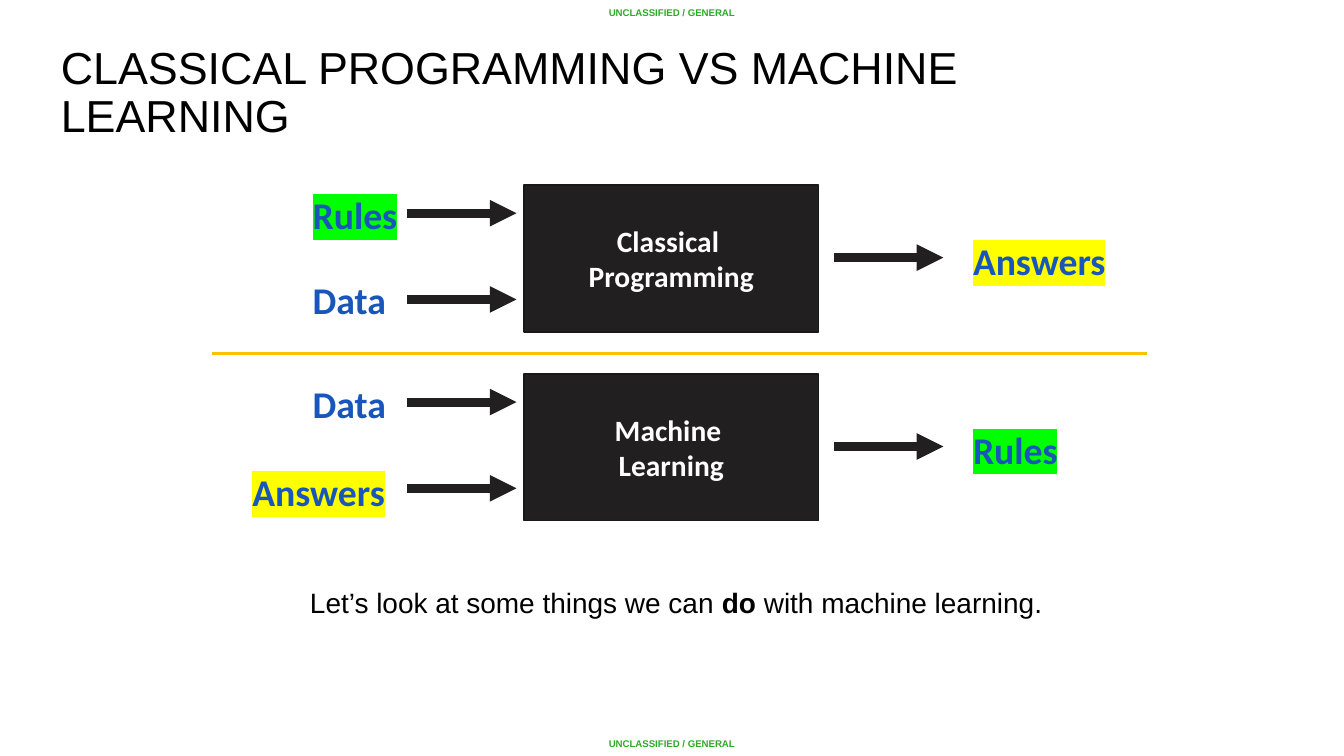
from lxml import etree
from pptx import Presentation
from pptx.dml.color import RGBColor
from pptx.enum.shapes import MSO_CONNECTOR, MSO_SHAPE
from pptx.enum.text import MSO_ANCHOR, MSO_AUTO_SIZE, PP_ALIGN
from pptx.oxml.ns import qn
from pptx.util import Cm, Pt

STRAIGHT = MSO_CONNECTOR.STRAIGHT
RECTANGLE = MSO_SHAPE.RECTANGLE
TOP, MIDDLE, BOTTOM = MSO_ANCHOR.TOP, MSO_ANCHOR.MIDDLE, MSO_ANCHOR.BOTTOM
NO_FIT = MSO_AUTO_SIZE.NONE
LEFT, CENTER = PP_ALIGN.LEFT, PP_ALIGN.CENTER

INK, EDGE, BLUE = "221F20", "191718", "1956BB"
GREEN, YELLOW, MARKING, GOLD = "00FF00", "FFFF00", "2DAA27", "FFC000"
TERMS = {"Rules": (2.13, GREEN), "Data": (1.93, None), "Answers": (3.07, YELLOW)}


def color(value):
    return RGBColor.from_string(value)


class Diagram:
    heading_font = "Arial"
    label_font = "Calibri"

    def __init__(self, slide):
        self.slide = slide

    def style(self, paragraph, size, font, fill, bold=None, align=LEFT):
        paragraph.alignment = align
        paragraph.font.size = Pt(size)
        paragraph.font.name = font
        paragraph.font.bold = bold
        paragraph.font.color.rgb = color(fill)

    def title(self, text, left, top, width, height):
        title = self.slide.shapes.title
        title.left, title.top = Cm(left), Cm(top)
        title.width, title.height = Cm(width), Cm(height)
        frame = title.text_frame
        frame.text = text
        frame.auto_size = NO_FIT
        frame.vertical_anchor = TOP
        frame.margin_left = frame.margin_right = 0
        frame.margin_top = frame.margin_bottom = 0
        heading = frame.paragraphs[0]
        heading.line_spacing = 0.9
        self.style(heading, 24, self.heading_font, "000000")

    def text(self, left, top, width, height, wrap=True, anchor=TOP):
        box = self.slide.shapes.add_textbox(Cm(left), Cm(top), Cm(width), Cm(height))
        box.text_frame.word_wrap = wrap
        box.text_frame.vertical_anchor = anchor
        return box.text_frame.paragraphs[0]

    def marking(self, top, anchor):
        paragraph = self.text(2.9, top, 19.6, 0.48, anchor=anchor)
        paragraph.text = "UNCLASSIFIED / GENERAL"
        self.style(paragraph, 5.2, self.heading_font, MARKING, True, CENTER)

    def term(self, name, left, top):
        width, highlight = TERMS[name]
        paragraph = self.text(left, top, width, 1.12, wrap=False)
        run = paragraph.add_run()
        run.text = name
        self.style(paragraph, 20.2, self.label_font, BLUE, True)
        if highlight:
            properties = run.font._element
            mark = etree.SubElement(properties, qn("a:highlight"))
            etree.SubElement(mark, qn("a:srgbClr"), val=highlight)

    def process(self, lines, top):
        box = self.slide.shapes.add_shape(RECTANGLE, Cm(9.91), Cm(top), Cm(5.56), Cm(2.77))
        box.shadow.inherit = False
        box.fill.solid()
        box.fill.fore_color.rgb = color(INK)
        box.line.color.rgb = color(EDGE)
        box.line.width = Pt(1)
        frame = box.text_frame
        frame.vertical_anchor = MIDDLE
        frame.text = "\n".join(lines)
        for paragraph in frame.paragraphs:
            self.style(paragraph, 15.8, self.label_font, "FFFFFF", True, CENTER)

    def line(self, start, end, y, fill, width):
        line = self.slide.shapes.add_connector(STRAIGHT, Cm(start), Cm(y), Cm(end), Cm(y))
        line.line.color.rgb = color(fill)
        line.line.width = Pt(width)
        etree.SubElement(line._element.spPr, qn("a:effectLst"))
        return line

    def arrow(self, start, y):
        arrow = self.line(start, start + 2.06, y, INK, 4.75)
        etree.SubElement(arrow.line._get_or_add_ln(), qn("a:tailEnd"), type="triangle")

    def flow(self, top, lines, inputs, output):
        self.process(lines, top)
        for (name, left, offset), arrow_offset in zip(inputs, (0.53, 2.16)):
            self.term(name, left, top + offset)
            self.arrow(7.7, top + arrow_offset)
        self.arrow(15.77, top + 1.37)
        self.term(output, 18.14, top + 0.87)


def main():
    deck = Presentation()
    deck.slide_width, deck.slide_height = Cm(25.4), Cm(14.29)
    diagram = Diagram(deck.slides.add_slide(deck.slide_layouts[5]))

    diagram.marking(13.81, BOTTOM)
    diagram.marking(0, TOP)
    diagram.title("CLASSICAL PROGRAMMING VS MACHINE LEARNING", 1.15, 0.86, 17.15, 1.9)

    diagram.flow(3.5, ("Classical ", "Programming"),
                 (("Rules", 5.66, 0), ("Data", 5.66, 1.61)), "Answers")
    diagram.flow(7.07, ("Machine ", "Learning"),
                 (("Data", 5.66, 0), ("Answers", 4.52, 1.67)), "Rules")
    diagram.line(4.01, 21.67, 6.68, GOLD, 2)

    closing = diagram.text(3.38, 10.95, 18.8, 0.89)
    for words, bold in (("Let’s look at some things we can ", False),
                        ("do", True), (" with machine learning.", False)):
        run = closing.add_run()
        run.text = words
        run.font.bold = bold
    diagram.style(closing, 15, diagram.heading_font, "000000", align=CENTER)

    deck.save("out.pptx")


if __name__ == "__main__":
    main()
